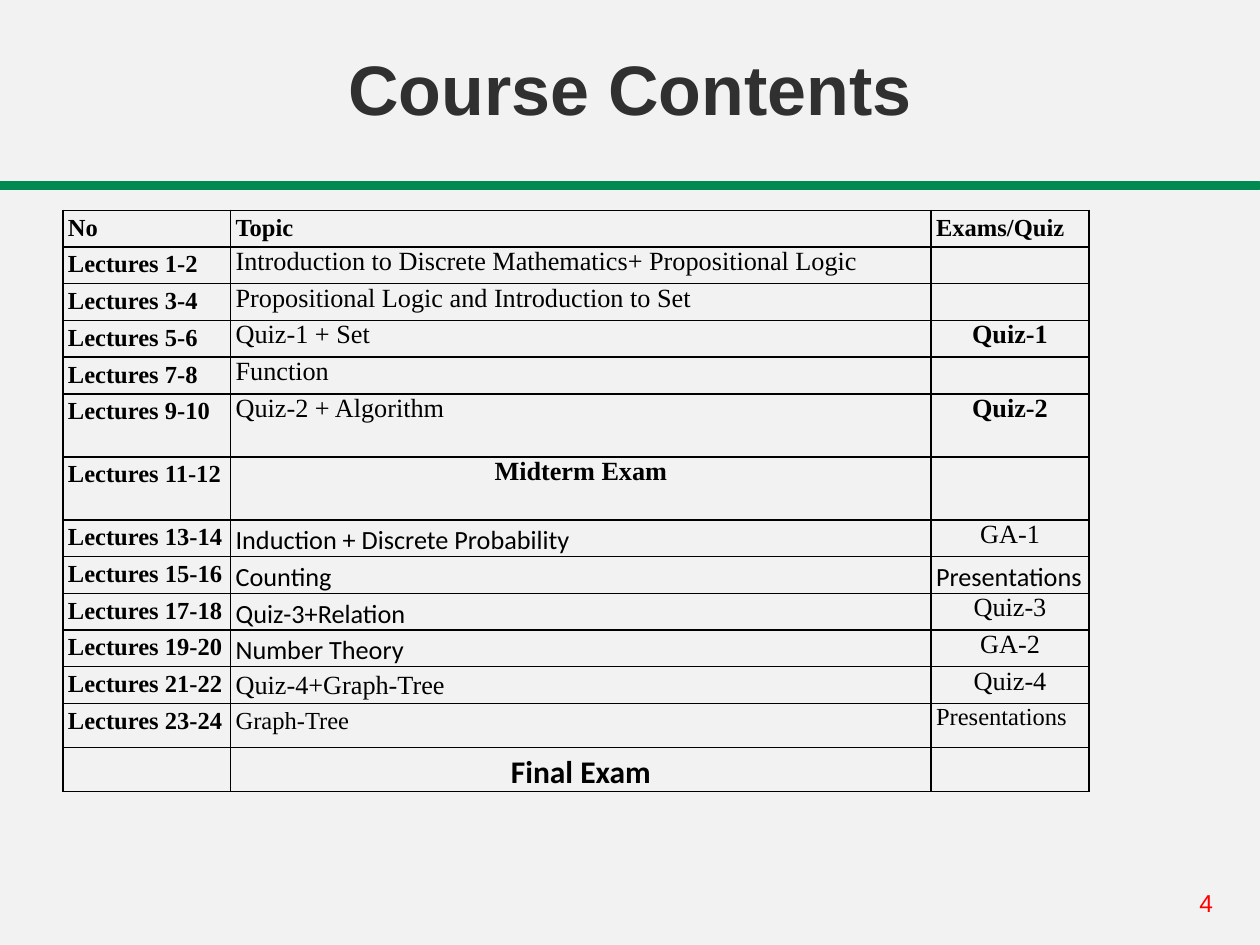
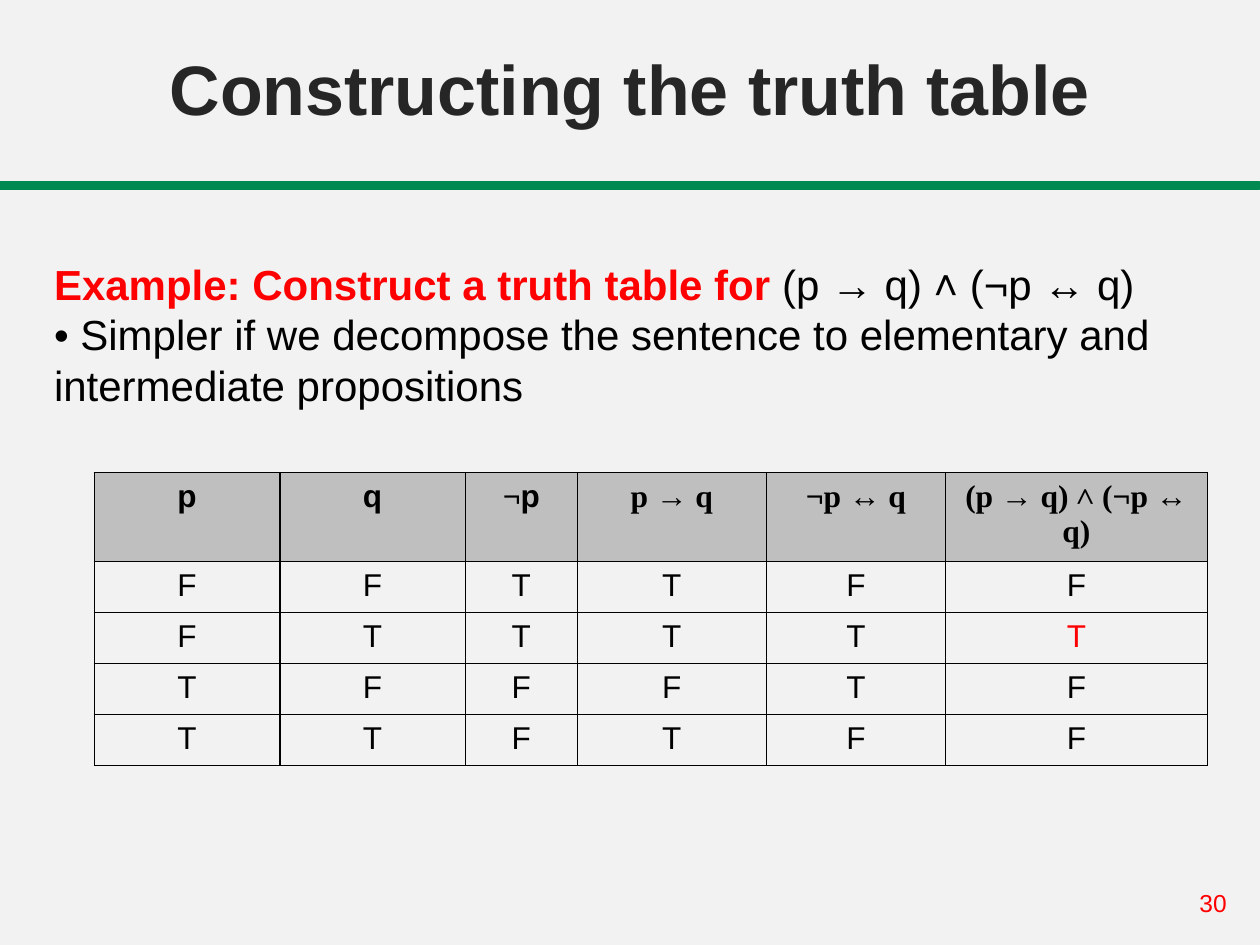
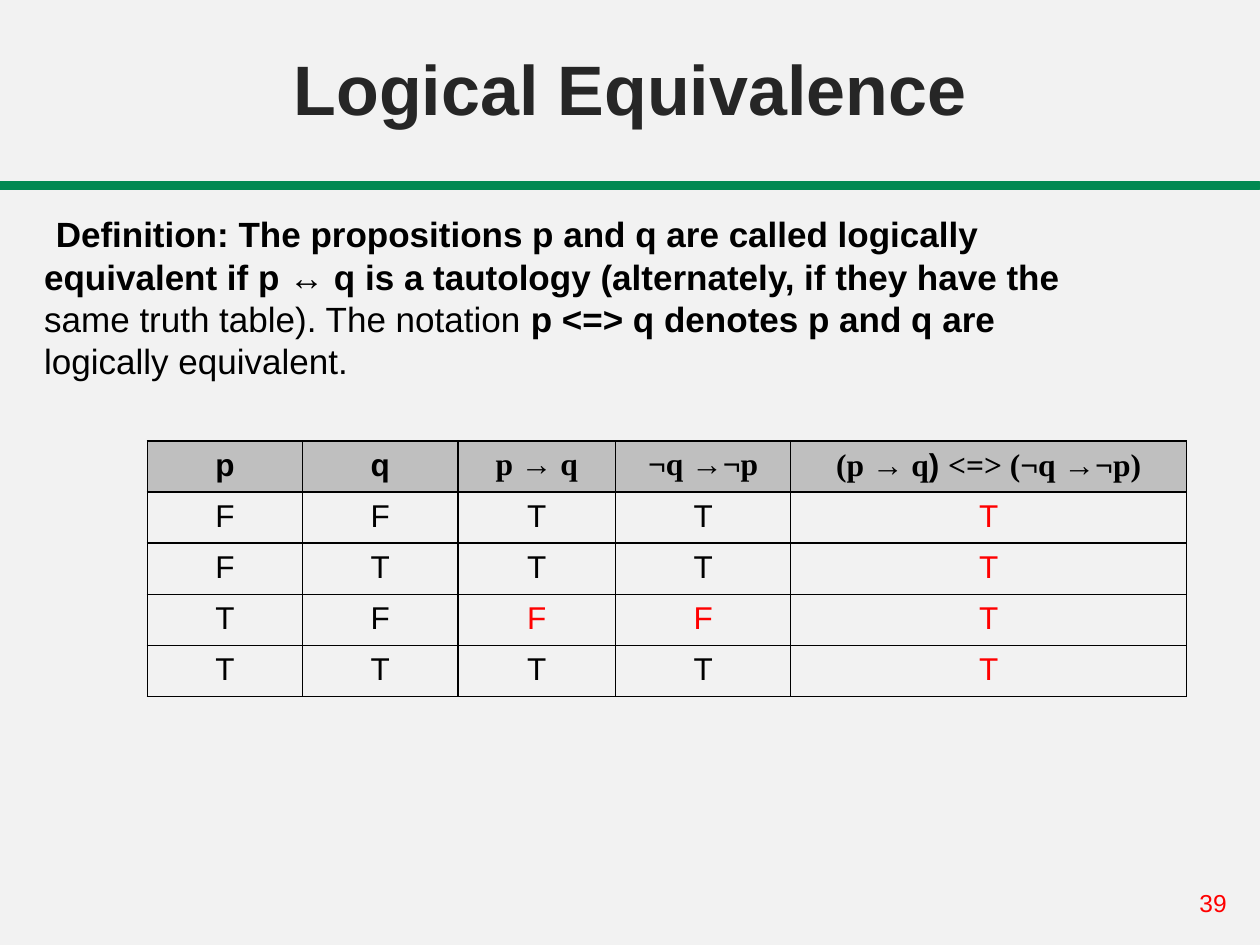
from lxml.etree import SubElement
from pptx import Presentation
from pptx.dml.color import RGBColor
from pptx.enum.shapes import MSO_SHAPE
from pptx.enum.text import MSO_ANCHOR, PP_ALIGN
from pptx.oxml.ns import qn
from pptx.util import Cm, Pt

COLORS = {
    "background": "F2F2F2", "band": "018952", "text": "000000", "accent": "FF0000",
    "title": "262626", "soft_title": "303030", "header": "BFBFBF", "border": "000000",
}
SANS, SERIF, HUMANIST = "Arial", "Times New Roman", "Calibri"
CENTER = {"alignment": PP_ALIGN.CENTER}
SPACED = {"line_spacing": 1.15}
BASE = {"name": SANS, "bold": False, "color": "text"}

# Each style mixes font values with paragraph values
STYLES = {
    "title": {"size": 40, "bold": True, "color": "title", **CENTER},
    "soft_title": {"size": 40, "bold": True, "color": "soft_title", **CENTER},
    "number": {"size": 14, "color": "accent"},
    "example": {"size": 24},
    "example_lead": {"size": 24, "bold": True, "color": "accent"},
    "definition": {"size": 20},
    "definition_bold": {"size": 20, "bold": True},
    "lecture": {"name": SERIF, "size": 14, "bold": True, **SPACED},
    "topic": {"name": SERIF, "size": 15},
    "topic_spaced": {"name": SERIF, "size": 15, **SPACED},
    "topic_small": {"name": SERIF, "size": 14, **SPACED},
    "topic_humanist": {"name": HUMANIST, "size": 15, **SPACED},
    "exam": {"name": SERIF, "size": 15, "bold": True, **CENTER},
    "final": {"name": HUMANIST, "size": 18, "bold": True, **CENTER, **SPACED},
    "mark": {"name": SERIF, "size": 15, **CENTER},
    "mark_small": {"name": SERIF, "size": 14},
    "head": {"size": 18, "bold": True, **CENTER},
    "formula": {"name": SERIF, "size": 18, "bold": True, **CENTER},
    "value": {"size": 18, **CENTER},
    "value_red": {"size": 18, "color": "accent", **CENTER},
}
PARAGRAPH_KEYS = ("alignment", "line_spacing")
WIDE_INSETS = (0.25, 0.13)
NARROW_INSETS = (0.1, 0)
VALUE_ROW = 1.03


class Deck:
    """Holds the shared style and the current slide."""

    def __init__(self):
        self.presentation = Presentation()
        self.presentation.slide_width = Cm(25.4)
        self.presentation.slide_height = Cm(19.05)
        self.slide = None

    def color(self, name):
        return RGBColor.from_string(COLORS[name])

    def add_slide(self, title, number, title_style="title"):
        self.slide = self.presentation.slides.add_slide(self.presentation.slide_layouts[6])
        background = self.slide.background.fill
        background.solid()
        background.fore_color.rgb = self.color("background")
        self.band(0, 3.68, 25.4, 0.13)
        self.text(23.93, 17.78, 1.47, 0.86, [[(str(number), "number")]])
        self.text(0, 0, 25.4, 2.74, [[(title, title_style)]], MSO_ANCHOR.BOTTOM)

    def band(self, *box):
        shape = self.slide.shapes.add_shape(MSO_SHAPE.RECTANGLE, *map(Cm, box))
        shape.shadow.inherit = False
        shape.fill.solid()
        shape.fill.fore_color.rgb = self.color("band")
        shape.line.color.rgb = self.color("band")
        shape.line.width = Pt(1.75)

    def text(self, left, top, width, height, paragraphs, anchor=MSO_ANCHOR.TOP):
        shape = self.slide.shapes.add_textbox(Cm(left), Cm(top), Cm(width), Cm(height))
        frame = shape.text_frame
        frame.word_wrap = True
        frame.vertical_anchor = anchor
        self.inset(frame, WIDE_INSETS)
        self.set_text(frame, paragraphs)

    def inset(self, target, insets):
        for side, value in zip(("left", "right", "top", "bottom"),
                               (insets[0], insets[0], insets[1], insets[1])):
            setattr(target, f"margin_{side}", Cm(value))

    def set_text(self, frame, paragraphs):
        for index, runs in enumerate(paragraphs):
            paragraph = frame.add_paragraph() if index else frame.paragraphs[0]
            if not runs:  # keeps an empty cell from stretching its row
                SubElement(paragraph._p, qn("a:endParaRPr"), sz="1400")
            for text, style in runs:
                run = paragraph.add_run()
                run.text = text
                for key, value in {**BASE, **STYLES[style]}.items():
                    if key in PARAGRAPH_KEYS:
                        setattr(paragraph, key, value)
                    elif key == "color":
                        run.font.color.rgb = self.color(value)
                    else:
                        setattr(run.font, key, Pt(value) if key == "size" else value)

    def table(self, left, top, columns, rows, cells, insets=WIDE_INSETS, header=None):
        shape = self.slide.shapes.add_table(
            len(rows), len(columns), Cm(left), Cm(top), Cm(sum(columns)), Cm(sum(rows)))
        table = shape.table
        table.first_row = table.horz_banding = False
        for column, width in zip(table.columns, columns):
            column.width = Cm(width)
        for index, (row, height) in enumerate(zip(table.rows, rows)):
            row.height = Cm(height)
            for cell, runs in zip(row.cells, cells[index]):
                self.inset(cell, insets)
                self.set_text(cell.text_frame, [runs])
                self.border(cell)
                if header and index == 0:
                    cell.fill.solid()
                    cell.fill.fore_color.rgb = self.color(header)
                else:
                    cell.fill.background()

    def border(self, cell):
        properties = cell._tc.get_or_add_tcPr()
        for side in ("lnL", "lnR", "lnT", "lnB"):
            line = SubElement(properties, qn(f"a:{side}"), w=str(Pt(1)))
            fill = SubElement(line, qn("a:solidFill"))
            SubElement(fill, qn("a:srgbClr"), val=COLORS["border"])

    def truth_table(self, left, top, columns, header_height, header, values, red):
        cells = [header]
        for row, letters in enumerate(values):
            cells.append([[(letter, "value_red" if (row, column) in red else "value")]
                          for column, letter in enumerate(letters)])
        rows = [header_height] + [VALUE_ROW] * len(values)
        self.table(left, top, columns, rows, cells, header="header")


def course_contents(deck):
    deck.add_slide("Course Contents", 4, "soft_title")
    # Topic and exam of each pair of lectures
    plan = [
        [("Introduction to Discrete Mathematics+ Propositional Logic", "topic")],
        [("Propositional Logic and Introduction to Set", "topic")],
        [("Quiz-1 + Set", "topic"), ("Quiz-1", "exam")],
        [("Function", "topic")],
        [("Quiz-2 + Algorithm", "topic"), ("Quiz-2", "exam")],
        [("Midterm Exam", "exam")],
        [("Induction + Discrete Probability", "topic_humanist"), ("GA-1", "mark")],
        [("Counting", "topic_humanist"), ("Presentations", "topic_humanist")],
        [("Quiz-3+Relation", "topic_humanist"), ("Quiz-3", "mark")],
        [("Number Theory", "topic_humanist"), ("GA-2", "mark")],
        [("Quiz-4+Graph-Tree", "topic_spaced"), ("Quiz-4", "mark")],
        [("Graph-Tree", "topic_small"), ("Presentations", "mark_small")],
    ]
    cells = [[[(label, "lecture")] for label in ("No", "Topic", "Exams/Quiz")]]
    for index, entries in enumerate(plan):
        first = 2 * index + 1
        lecture = [(f"Lectures {first}-{first + 1}", "lecture")]
        topic, exam = entries[:1], entries[1:]
        cells.append([lecture, topic, exam])
    cells.append([[], [("Final Exam", "final")], []])
    rows = [0.74] * 5 + [1.27] * 2 + [0.74] * 5 + [0.89] * 2
    # One row for the header, twelve for lectures, one for the final
    deck.table(1.27, 4.24, [3.38, 14.12, 3.18], rows, cells, NARROW_INSETS)


def constructing_truth_table(deck):
    deck.add_slide("Constructing the truth table", 30)
    deck.text(0.84, 5.08, 23.7, 3.33, [
        [("Example: Construct a truth table for ", "example_lead"),
         ("(p → q) ˄ (¬p ↔ q)", "example")],
        [("• Simpler if we decompose the sentence to elementary and", "example")],
        [("intermediate propositions", "example")],
    ])
    header = [
        [("p", "head")], [("q", "head")], [("¬", "formula"), ("p", "head")],
        [("p → q", "formula")], [("¬p ↔ q", "formula")],
        [("(p → q) ˄ (¬p ↔ q)", "formula")],
    ]
    deck.truth_table(1.9, 9.53, [3.74, 3.74, 2.26, 3.81, 3.61, 5.28], 1.78, header,
                     ["FFTTFF", "FTTTTT", "TFFFTF", "TTFTFF"], {(1, 5)})


def logical_equivalence(deck):
    deck.add_slide("Logical Equivalence", 39)
    deck.text(0.64, 4.01, 24.33, 3.84, [
        [(" ", "example"),
         ("Definition: The propositions p and q are called logically", "definition_bold")],
        [("equivalent if p ↔ q is a tautology (alternately, if they have the",
          "definition_bold")],
        [("same truth table). The notation ", "definition"),
         ("p <=> q denotes p and q are", "definition_bold")],
        [("logically equivalent.", "definition")],
    ])
    header = [
        [("p", "head")], [("q", "head")], [("p → q", "formula")], [("¬q →¬p", "formula")],
        [("(p → q", "formula"), (") ", "head"), ("<=> (¬q →¬p)", "formula")],
    ]
    red = {(row, 4) for row in range(4)} | {(2, 2), (2, 3)}
    deck.truth_table(2.97, 8.89, [3.13, 3.13, 3.18, 3.53, 7.98], VALUE_ROW, header,
                     ["FFTTT", "FTTTT", "TFFFT", "TTTTT"], red)


def main():
    deck = Deck()
    course_contents(deck)
    constructing_truth_table(deck)
    logical_equivalence(deck)
    deck.presentation.save("out.pptx")


if __name__ == "__main__":
    main()
